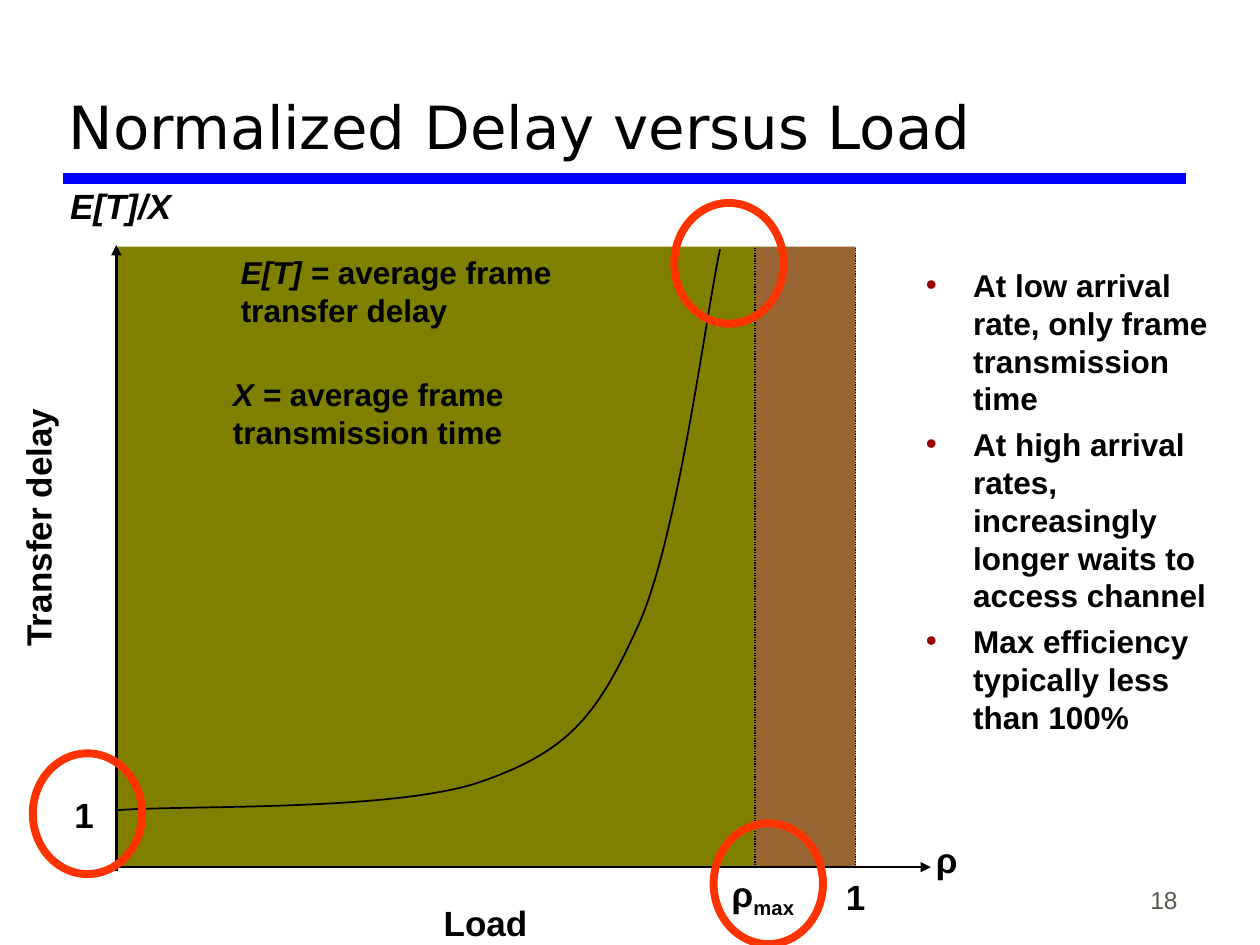
from dataclasses import dataclass
from lxml import etree
from pptx import Presentation
from pptx.dml.color import RGBColor as RGB
from pptx.enum.dml import MSO_LINE as Dash
from pptx.enum.shapes import MSO_CONNECTOR as Conn, MSO_SHAPE as Kind
from pptx.enum.text import MSO_ANCHOR as Anchor, PP_ALIGN as Align
from pptx.oxml.ns import qn
from pptx.util import Pt


@dataclass(frozen=True)
class Theme:
    ink: str = "000000"
    rule: str = "0000FF"
    safe: str = "808000"
    over: str = "996633"
    ring: str = "FF3300"
    dot: str = "990000"
    page: str = "5E574E"
    face: str = "Arial"
    head: str = "DejaVu Sans"
    title: int = 34
    label: int = 20
    body: int = 18
    small: int = 14


T = Theme()


def style(font, color=T.ink, **values):
    for name, value in {"name": T.face, "bold": True, **values}.items():
        setattr(font, name, value)
    font.color.rgb = RGB.from_string(color)


def write(slide, box, paras, size, align=Align.LEFT, anchor=Anchor.TOP,
          color=T.ink, bold=True):
    """Each paragraph is a list of (text, font values) pairs."""
    shape = slide.shapes.add_textbox(*map(Pt, box))
    frame = shape.text_frame
    frame.word_wrap, frame.vertical_anchor = True, anchor
    for i, runs in enumerate(paras):
        para = frame.add_paragraph() if i else frame.paragraphs[0]
        para.alignment = align
        for text, extra in runs:
            run = para.add_run()
            run.text = text
            style(run.font, color, size=Pt(size), bold=bold, **extra)
    return shape


def label(slide, x, y, w, *runs):
    """Centred label around the point x, y."""
    return write(slide, (x - w / 2, y - 16, w, 32), [runs], T.label,
                 Align.CENTER, Anchor.MIDDLE)


def line(slide, start, end, color=T.ink, width=1, dash=None, arrow=False):
    link = slide.shapes.add_connector(Conn.STRAIGHT, *map(Pt, start + end))
    link.line.color.rgb = RGB.from_string(color)
    link.line.width = Pt(width)
    if dash:
        link.line.dash_style = dash
    if arrow:
        etree.SubElement(link.line._get_or_add_ln(), qn("a:tailEnd"), type="triangle")
    etree.SubElement(link._element.spPr, qn("a:effectLst"))


def area(slide, box, kind, fill=None, edge=None, width=4.5):
    shape = slide.shapes.add_shape(kind, *map(Pt, box))
    shape.shadow.inherit = False
    if fill:
        shape.fill.solid()
        shape.fill.fore_color.rgb = RGB.from_string(fill)
    else:
        shape.fill.background()
    if edge:
        shape.line.color.rgb = RGB.from_string(edge)
        shape.line.width = Pt(width)
    else:
        shape.line.fill.background()


def curve(slide, points):
    """Cubic curve: a start, then two handles and an end per segment."""
    start, *rest = [(Pt(x), Pt(y)) for x, y in points]
    pen = slide.shapes.build_freeform(*start)
    pen.add_line_segments(rest, close=False)
    shape = pen.convert_to_shape()
    shape.shadow.inherit = False
    shape.fill.background()
    shape.line.color.rgb = RGB.from_string(T.ink)
    shape.line.width = Pt(1)
    # Turn every three straight steps into one cubic segment
    steps = list(shape._element.iter(qn("a:lnTo")))
    for i in range(0, len(steps), 3):
        cubic = etree.Element(qn("a:cubicBezTo"))
        steps[i].addprevious(cubic)
        for step in steps[i:i + 3]:
            cubic.append(step[0])
            step.getparent().remove(step)


def header(slide, box):
    x, y, w, h = box
    title = slide.shapes.title
    for name, value in zip(("left", "top", "width", "height"), box):
        setattr(title, name, Pt(value))
    frame = title.text_frame
    frame.text = "Normalized Delay versus Load"
    frame.vertical_anchor = Anchor.BOTTOM
    para = frame.paragraphs[0]
    para.alignment = Align.LEFT
    style(para.runs[0].font, name=T.head, size=Pt(T.title), bold=False)
    line(slide, (x + 4, y + h + 6), (x + w + 1, y + h + 6), T.rule, 6)


def plot(slide, box):
    x, y, w, h = box
    right, base, limit = x + w, y + h, x + 364

    # Stable and overloaded zones
    area(slide, (limit, y, right - limit, h), Kind.RECTANGLE, T.over)
    area(slide, (x, y, limit - x, h), Kind.RECTANGLE, T.safe)

    # Axes and load limits
    line(slide, (x - 2, base), (right + 43, base), width=1.5, arrow=True)
    line(slide, (x - 1, base + 2), (x - 1, y - 1), width=1.5, arrow=True)
    for edge in (limit, right):
        line(slide, (edge, base - 1), (edge, y), width=0.75, dash=Dash.ROUND_DOT)

    # Delay curve
    steps = [(0, 322), (35, 319), (159, 323), (208, 305.5), (258, 288),
             (274, 267.5), (297, 217), (320, 167), (336, 37.5), (344, 1.5)]
    curve(slide, [(x + a, y + b) for a, b in steps])

    # Axis labels
    label(slide, x + 210, base + 31.5, 90, ("Load", {}))
    label(slide, x - 46, y + 160.5, 170, ("Transfer delay", {})).rotation = 270
    label(slide, x + 1.5, y - 23.5, 81, ("E[T]/X", {"italic": True}))
    label(slide, right + 52, base - 4.5, 32, ("ρ", {}))
    low = label(slide, limit + 4.5, base + 16.5, 56, ("ρ", {}), ("max", {}))
    low.text_frame.paragraphs[0].runs[1].font._element.set("baseline", "-25000")
    label(slide, right, base + 16.5, 32, ("1", {}))
    label(slide, x - 19.5, y + 324.5, 32, ("1", {}))

    # Definitions
    slant = {"italic": True}
    write(slide, (x + 63, y, 215, 50),
          [[("E[T] =", slant), (" average frame", {})], [("transfer delay", {})]], T.body)
    write(slide, (x + 58.5, y + 70, 234, 50),
          [[("X =", slant), (" average frame", {})], [("transmission time", {})]], T.body)

    # Rings around the key points
    for a, b in ((-17.5, 324), (349, 9.5), (371.5, 364)):
        area(slide, (x + a - 31.25, y + b - 34.5, 62.5, 69), Kind.OVAL, edge=T.ring)


def notes(slide, box):
    items = ("At low arrival rate, only frame transmission time",
             "At high arrival rates, increasingly longer waits to access channel",
             "Max efficiency typically less than 100%")
    shape = write(slide, box, [[(item, {})] for item in items], T.body)
    for i, para in enumerate(shape.text_frame.paragraphs):
        if i:
            para.space_before = Pt(4.5)
        props = para._p.get_or_add_pPr()
        props.set("marL", str(Pt(27)))
        props.set("indent", str(-Pt(27)))
        tint = etree.SubElement(props, qn("a:buClr"))
        etree.SubElement(tint, qn("a:srgbClr"), val=T.dot)
        etree.SubElement(props, qn("a:buFont"), typeface=T.face)
        etree.SubElement(props, qn("a:buChar"), char="•")


def main():
    deck = Presentation()
    deck.slide_width, deck.slide_height = Pt(720), Pt(540)
    slide = deck.slides.add_slide(deck.slide_layouts[5])
    header(slide, (32, 12, 645, 84))
    plot(slide, (67.5, 141, 421.5, 354.5))
    notes(slide, (522, 148.5, 185, 312))
    write(slide, (530, 490, 150, 36), [[("18", {})]], T.small, Align.RIGHT,
          Anchor.BOTTOM, color=T.page, bold=False)
    deck.save("out.pptx")


if __name__ == "__main__":
    main()
